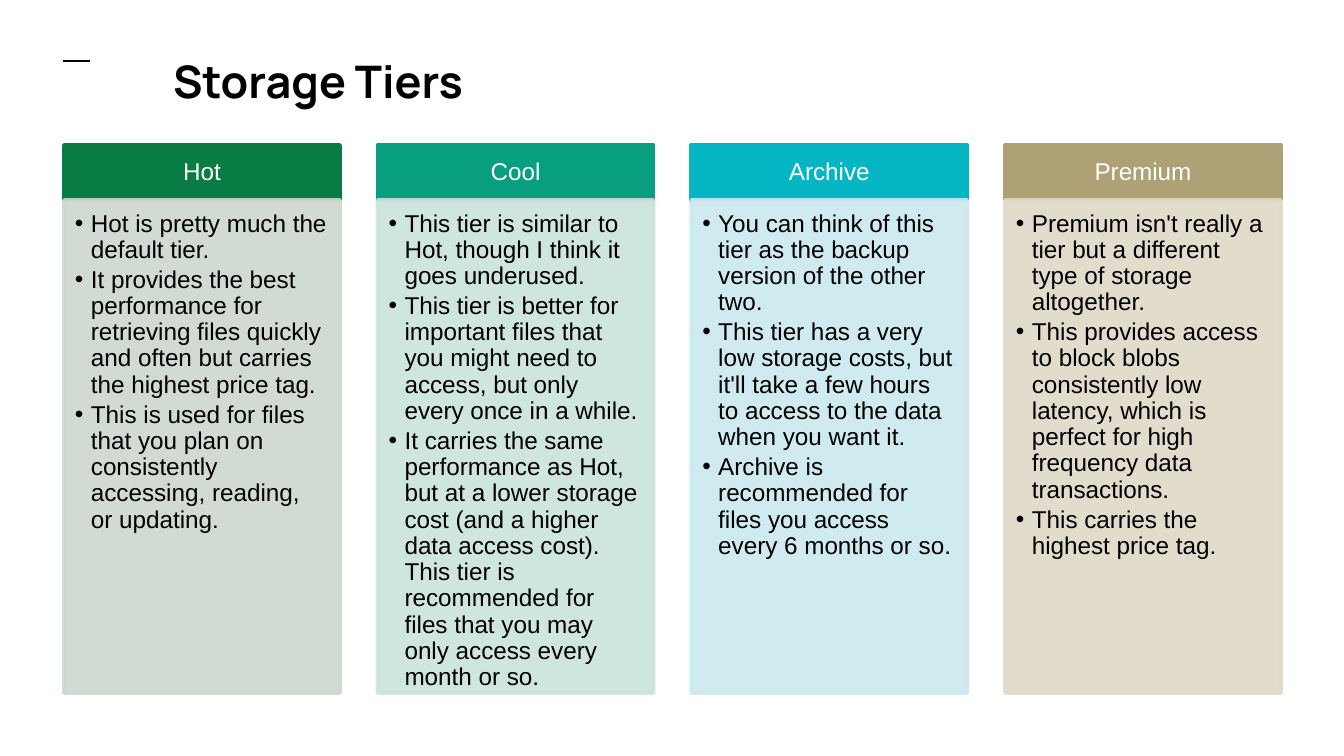
"""Build the Storage Tiers slide: four headed columns of bullet points."""
from lxml import etree
from pptx import Presentation
from pptx import util as u
from pptx.dml.color import RGBColor
from pptx.enum import shapes, text
from pptx.oxml.ns import qn

TITLE = "Storage Tiers"
TIERS = [
    ("Hot", [
        "Hot is pretty much the default tier.",
        "It provides the best performance for retrieving files quickly and often but carries the highest price tag.",
        "This is used for files that you plan on consistently accessing, reading, or updating.",
    ]),
    ("Cool", [
        "This tier is similar to Hot, though I think it goes underused.",
        "This tier is better for important files that you might need to access, but only every once in a while.",
        "It carries the same performance as Hot, but at a lower storage cost (and a higher data access cost). "
        "This tier is recommended for files that you may only access every month or so.",
    ]),
    ("Archive", [
        "You can think of this tier as the backup version of the other two.",
        "This tier has a very low storage costs, but it'll take a few hours to access to the data when you want it.",
        "Archive is recommended for files you access every 6 months or so.",
    ]),
    ("Premium", [
        "Premium isn't really a tier but a different type of storage altogether.",
        "This provides access to block blobs consistently low latency, "
        "which is perfect for high frequency data transactions.",
        "This carries the highest price tag.",
    ]),
]
COLORS = {
    "black": "000000", "white": "FFFFFF",
    "Hot": ("097C45", "CCD7CF"), "Cool": ("079F80", "CAE3DC"),
    "Archive": ("04B6C3", "CAE9EE"), "Premium": ("AEA175", "DFD9C8"),
}
LEFT, RIGHT, WIDTH = 64, 1281, 276
TOP, HEAD, BODY = 145, 55, 493


def px(n):
    return u.Emu(round(n * 914400 / 134.4))


def rgb(name):
    return RGBColor.from_string(COLORS.get(name, name))


def style(para, size, face, color, bold=False):
    for run in para.runs:
        font = run.font
        font.size, font.name, font.bold = u.Pt(size), face, bold
        font.color.rgb = rgb(color)


def inset(frame, *sides):
    (frame.margin_left, frame.margin_top,
     frame.margin_right, frame.margin_bottom) = map(px, sides)


def panel(slide, x, y, high, color, alpha=None):
    box = slide.shapes.add_shape(shapes.MSO_SHAPE.RECTANGLE, px(x), px(y), px(WIDTH), px(high))
    box.shadow.inherit = False
    box.fill.solid()
    box.fill.fore_color.rgb = rgb(color)
    box.line.color.rgb = rgb(color)
    box.line.width = u.Pt(2)
    if alpha:
        for tint in box.element.spPr.iter(qn("a:srgbClr")):
            etree.SubElement(tint, qn("a:alpha"), val=str(alpha * 1000))
    box.text_frame.word_wrap = True
    return box.text_frame


def bullet(para):
    props = para._p.get_or_add_pPr()
    props.set("marL", str(px(16)))
    props.set("indent", str(-px(16)))
    tint = etree.SubElement(props, qn("a:buClr"))
    etree.SubElement(tint, qn("a:srgbClr"), val=COLORS["black"])
    etree.SubElement(props, qn("a:buFont"), typeface="Arial")
    etree.SubElement(props, qn("a:buChar"), char="•")


def column(slide, x, name, points):
    dark, pale = COLORS[name]
    head = panel(slide, x, TOP, HEAD, dark)
    inset(head, 13, 8, 13, 8)
    head.vertical_anchor = text.MSO_ANCHOR.MIDDLE
    head.text = name
    para = head.paragraphs[0]
    para.alignment, para.line_spacing = text.PP_ALIGN.CENTER, 0.9
    style(para, 13, "Arial", "white")

    body = panel(slide, x, TOP + HEAD, BODY, pale, 90)
    inset(body, 11, 11, 13, 15)
    body.vertical_anchor = text.MSO_ANCHOR.TOP
    body.text = "\n".join(points)
    for para in body.paragraphs:
        bullet(para)
        para.alignment, para.line_spacing = text.PP_ALIGN.LEFT, 0.9
        para.space_after = u.Pt(2)
        style(para, 13, "Arial", "black")


def main():
    deck = Presentation()
    deck.slide_width, deck.slide_height = px(1344), px(756)
    slide = deck.slides.add_slide(deck.slide_layouts[5])

    dash = slide.shapes.add_connector(shapes.MSO_CONNECTOR.STRAIGHT, px(63), px(61), px(90), px(61))
    dash.line.color.rgb = rgb("black")
    dash.line.width = u.Pt(1.5)
    etree.SubElement(dash.element.spPr, qn("a:effectLst"))

    title = slide.shapes.title
    title.left, title.top, title.width, title.height = map(px, (160, 9, 413, 112))
    frame = title.text_frame
    frame.text = TITLE
    frame.word_wrap, frame.auto_size = True, text.MSO_AUTO_SIZE.NONE
    frame.vertical_anchor = text.MSO_ANCHOR.BOTTOM
    inset(frame, 13, 13, 13, 13)
    frame.paragraphs[0].alignment = text.PP_ALIGN.LEFT
    style(frame.paragraphs[0], 24, "Manrope", "black", True)

    step = (RIGHT - WIDTH - LEFT) / (len(TIERS) - 1)
    for i, (name, points) in enumerate(TIERS):
        column(slide, LEFT + i * step, name, points)
    deck.save("out.pptx")


if __name__ == "__main__":
    main()
